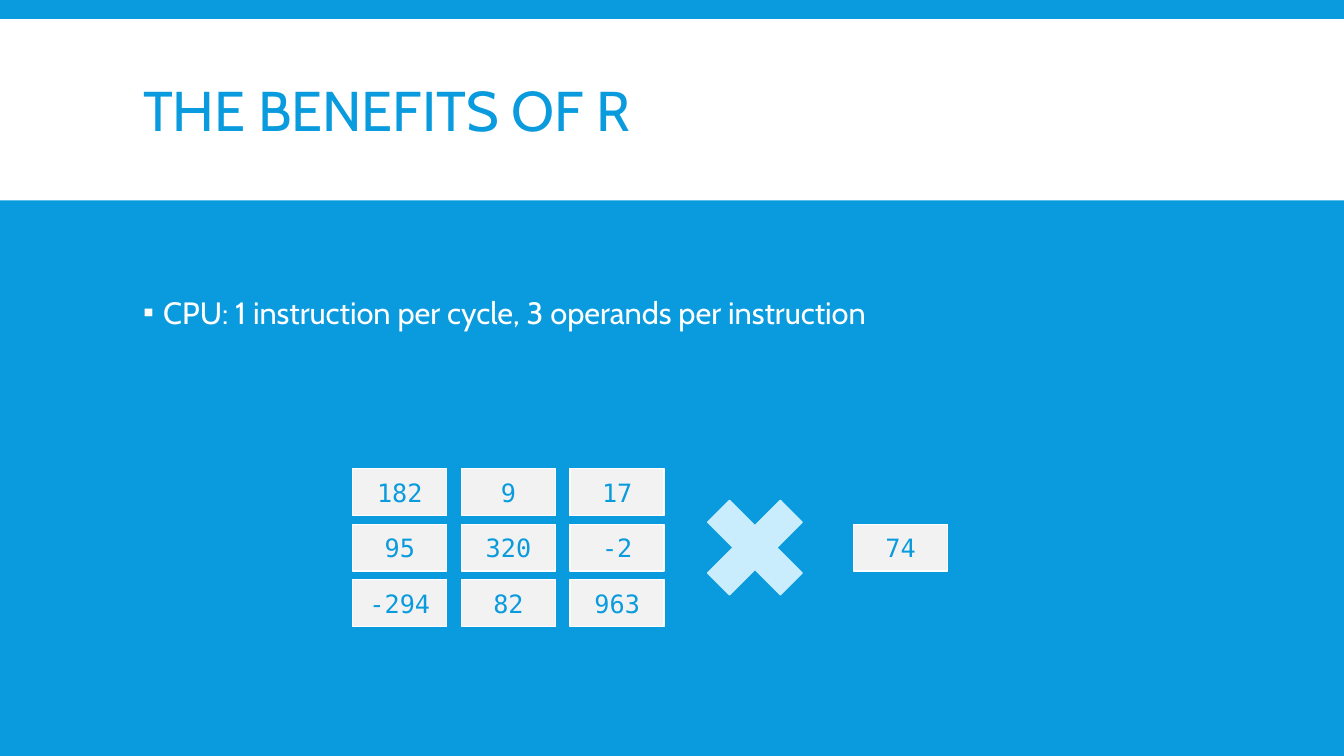
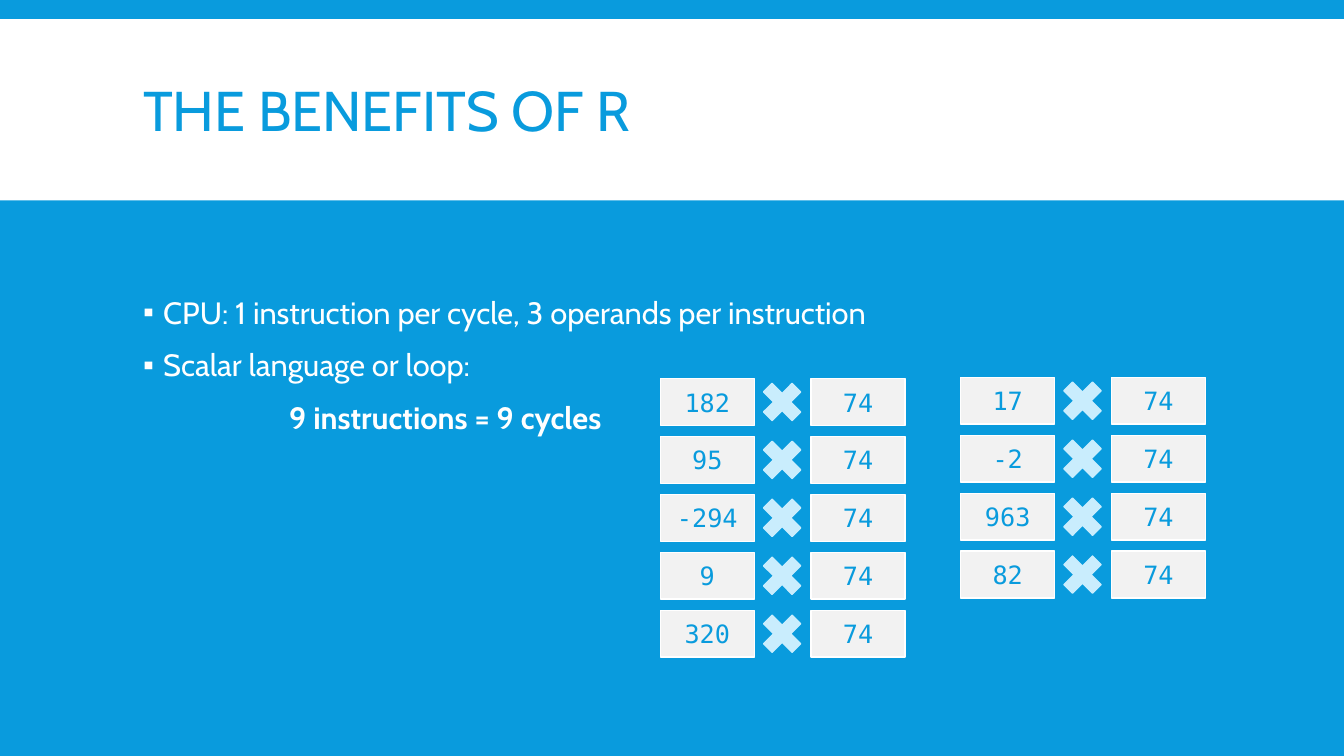
from lxml.etree import SubElement
from pptx import Presentation
from pptx.dml.color import RGBColor
from pptx.enum.shapes import MSO_SHAPE
from pptx.enum.text import MSO_ANCHOR, MSO_AUTO_SIZE, PP_ALIGN
from pptx.oxml.ns import qn
from pptx.util import Cm, Pt

COLORS = {
    "blue": "099BDD",
    "white": "FFFFFF",
    "cell": "F2F2F2",
    "cross": "C9EDFD",
}
TEXT_FONT = "Cabin"
NUMBER_FONT = "DejaVu Sans Mono"

# Sizes in centimetres
CELL_WIDTH, CELL_HEIGHT = 2.37, 1.18
SMALL_CROSS, LARGE_CROSS = 1.02, 2.59
BULLET_INDENT = 0.51
RESULT_INDENT = 3.68

TITLE = "THE BENEFITS OF R"
CPU_POINT = "CPU: 1 instruction per cycle, 3 operands per instruction"
SCALAR_POINT = "Scalar language or loop:"
SCALAR_RESULT = "9 instructions = 9 cycles"
MATRIX = [["182", "9", "17"], ["95", "320", "-2"], ["-294", "82", "963"]]
FACTOR = "74"


def color(name):
    return RGBColor.from_string(COLORS[name])


def place(shape, left, top, width, height):
    shape.left, shape.top = Cm(left), Cm(top)
    shape.width, shape.height = Cm(width), Cm(height)


def format_runs(paragraph, font_name, size, color_name, bold=False):
    for run in paragraph.runs:
        run.font.name = font_name
        run.font.size = Pt(size)
        run.font.bold = bold
        run.font.color.rgb = color(color_name)


def add_filled_shape(slide, kind, left, top, width, height, fill, line=None):
    shape = slide.shapes.add_shape(kind, Cm(left), Cm(top), Cm(width), Cm(height))
    shape.shadow.inherit = False
    shape.fill.solid()
    shape.fill.fore_color.rgb = color(fill)
    if line:
        shape.line.color.rgb = color(line)
        shape.line.width = Pt(1)
    else:
        shape.line.fill.background()
    return shape


def add_titled_slide(presentation):
    """Add a slide with the white band and the title."""
    slide = presentation.slides.add_slide(presentation.slide_layouts[1])
    band = add_filled_shape(slide, MSO_SHAPE.RECTANGLE, 0, 0.48, 33.87, 4.57, "white")
    slide.shapes.element.insert(2, band.element)  # behind the placeholders

    title = slide.shapes.title
    place(title, 3.35, 0.79, 27.18, 4.19)
    text_frame = title.text_frame
    text_frame.text = TITLE
    text_frame.auto_size = MSO_AUTO_SIZE.NONE
    text_frame.vertical_anchor = MSO_ANCHOR.MIDDLE
    paragraph = text_frame.paragraphs[0]
    paragraph.alignment = PP_ALIGN.LEFT
    paragraph.line_spacing = 0.85
    format_runs(paragraph, TEXT_FONT, 40, "blue")
    return slide


def set_bullet(paragraph, indent, char=None):
    """Indent a paragraph, with a hanging white bullet if one is given."""
    properties = paragraph._p.get_or_add_pPr()
    properties.set("marL", str(Cm(indent)))
    properties.set("indent", str(-Cm(indent) if char else 0))
    if char:
        bullet_color = SubElement(properties, qn("a:buClr"))
        SubElement(bullet_color, qn("a:srgbClr"), val=COLORS["white"])
        SubElement(properties, qn("a:buChar"), char=char)
    else:
        SubElement(properties, qn("a:buNone"))


def fill_body(slide, points, result=None):
    """Write the bullet points and, below them, an indented bold result."""
    body = slide.placeholders[1]
    place(body, 3.35, 7.37, 27.18, 4.19)
    text_frame = body.text_frame
    text_frame.text = "\n".join(points + ([result] if result else []))
    text_frame.auto_size = MSO_AUTO_SIZE.NONE
    text_frame.vertical_anchor = MSO_ANCHOR.TOP
    for index, paragraph in enumerate(text_frame.paragraphs):
        is_point = index < len(points)
        if is_point:
            set_bullet(paragraph, BULLET_INDENT, "▪")
        else:
            set_bullet(paragraph, RESULT_INDENT)
        paragraph.line_spacing = 0.9
        paragraph.space_before = Pt(12 if index else 0)
        paragraph.space_after = Pt(2)
        format_runs(paragraph, TEXT_FONT, 22, "white", bold=not is_point)


def add_number(slide, text, left, top):
    cell = add_filled_shape(slide, MSO_SHAPE.RECTANGLE, left, top,
                            CELL_WIDTH, CELL_HEIGHT, "cell", "white")
    text_frame = cell.text_frame
    text_frame.text = text
    text_frame.vertical_anchor = MSO_ANCHOR.MIDDLE
    paragraph = text_frame.paragraphs[0]
    paragraph.alignment = PP_ALIGN.CENTER
    format_runs(paragraph, NUMBER_FONT, 18, "blue")


def add_cross(slide, left, row_top, size):
    """Add a multiplication sign centred on a row of cells."""
    top = row_top + (CELL_HEIGHT - size) / 2
    cross = add_filled_shape(slide, MSO_SHAPE.CROSS, left, top, size, size, "cross", "cross")
    cross.adjustments[0] = 0.35
    cross.rotation = 45


def add_matrix(slide, rows, left, top):
    for row_index, row in enumerate(rows):
        for column_index, number in enumerate(row):
            add_number(slide, number, left + 2.74 * column_index, top + 1.4 * row_index)


def add_products(slide, numbers, left, top):
    """Stack one multiplication per number."""
    for index, number in enumerate(numbers):
        row_top = top + 1.46 * index
        add_number(slide, number, left, row_top)
        add_cross(slide, left + 2.56, row_top, SMALL_CROSS)
        add_number(slide, FACTOR, left + 3.8, row_top)


def build_matrix_slide(presentation):
    slide = add_titled_slide(presentation)
    fill_body(slide, [CPU_POINT])
    add_matrix(slide, MATRIX, 8.89, 11.81)
    add_cross(slide, 17.73, 13.21, LARGE_CROSS)
    add_number(slide, FACTOR, 21.51, 13.21)


def build_scalar_slide(presentation):
    slide = add_titled_slide(presentation)
    fill_body(slide, [CPU_POINT, SCALAR_POINT], SCALAR_RESULT)
    add_products(slide, ["182", "95", "-294", "9", "320"], 16.64, 9.54)
    add_products(slide, ["17", "-2", "963", "82"], 24.21, 9.51)


def main():
    presentation = Presentation()
    presentation.slide_width, presentation.slide_height = Cm(33.87), Cm(19.05)
    background = presentation.slide_master.background.fill
    background.solid()
    background.fore_color.rgb = color("blue")

    build_matrix_slide(presentation)
    build_scalar_slide(presentation)
    presentation.save("out.pptx")


if __name__ == "__main__":
    main()
